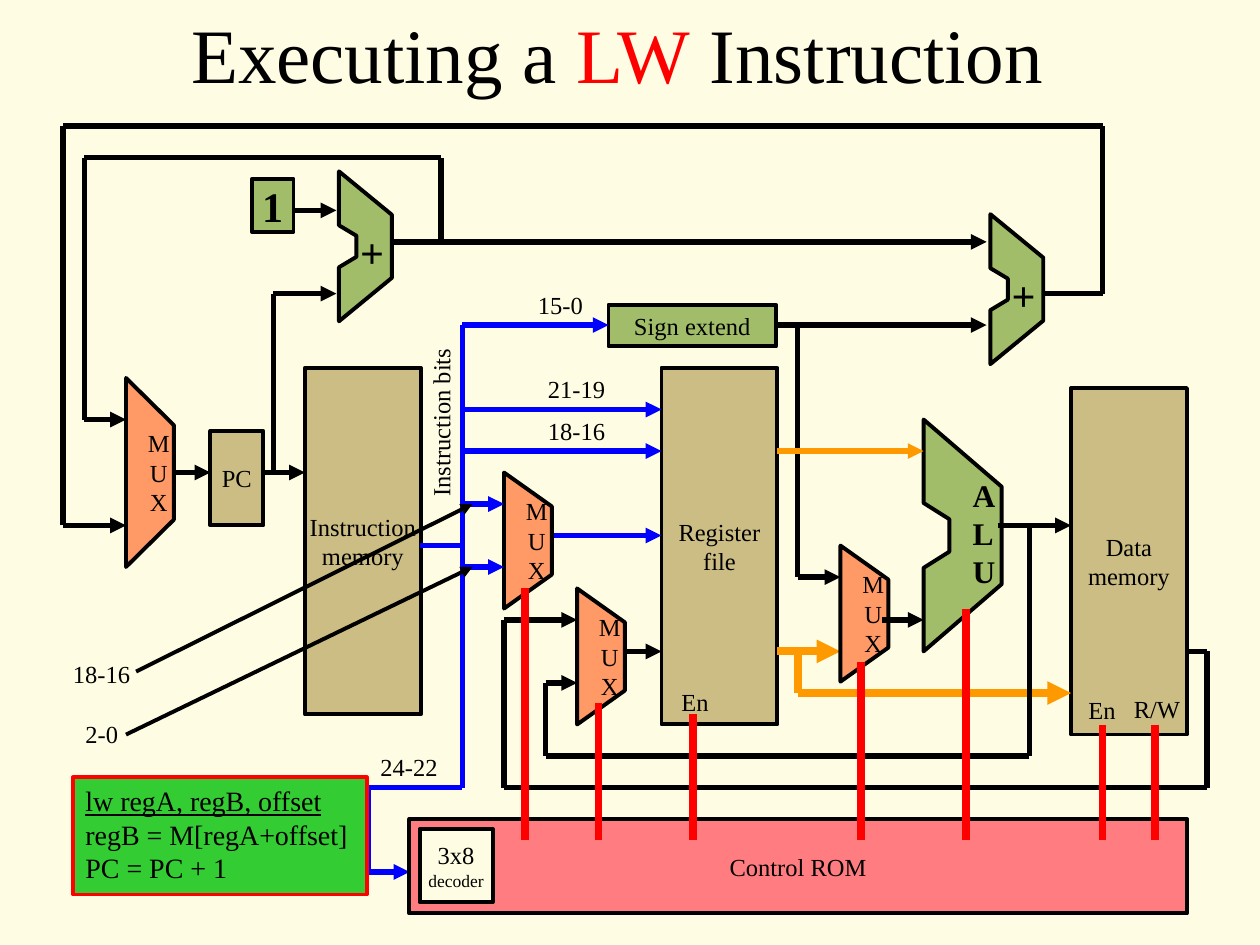
from dataclasses import dataclass
from itertools import pairwise
from typing import Any

from pptx import Presentation
from pptx.dml.color import RGBColor
from pptx.enum.shapes import MSO_CONNECTOR as Connector, MSO_SHAPE as Shape
from pptx.enum.text import MSO_ANCHOR as Anchor, PP_ALIGN as Align
from pptx.oxml.ns import qn
from pptx.util import Inches, Pt
from lxml.etree import SubElement


@dataclass(frozen=True)
class Theme:
    """Colours, type sizes and line widths of the slide."""
    font: str = "Times New Roman"
    paper: str = "FEFDE3"
    ink: str = "000000"
    storage: str = "CBBD83"
    logic: str = "A1BD69"
    mux: str = "FF9966"
    rom: str = "FF7C80"
    card: str = "33CC33"
    signal: str = "FF0000"
    bits: str = "0000FF"
    data: str = "FF9900"
    title_size: float = 44
    symbol_size: float = 24
    alu_size: float = 18
    card_size: float = 16
    body_size: float = 14
    small_size: float = 10
    outline: float = 2.25
    wire: float = 3
    thick: float = 4.5


THEME = Theme()
MUX_PROFILE = [(0, 0), (1, 0.25), (1, 0.75), (0, 1)]
ADDER_PROFILE = [(0, 0), (1, 0.29), (1, 0.71), (0, 1), (0, 0.64),
                 (0.33, 0.57), (0.33, 0.43), (0, 0.36)]


@dataclass
class Box:
    """A region of the slide whose parts are placed from its top left corner."""
    slide: Any
    left: float
    top: float
    width: float
    height: float

    def at(self, x, y):
        """Return slide lengths for a point within the box."""
        return Inches(self.left + x), Inches(self.top + y)

    def block(self, x, y, width, height, fill, lines=(), line=THEME.ink, **style):
        """Draw a filled rectangle with centred lines of text."""
        block = self.slide.shapes.add_shape(
            Shape.RECTANGLE, *self.at(x, y), Inches(width), Inches(height))
        paint(block, fill, line)
        return write(block.text_frame, lines, **style)

    def outline(self, x, y, width, height, profile, fill):
        """Draw a closed outline from a profile of fractions."""
        corners = [self.at(x + width * u, y + height * v) for u, v in profile]
        builder = self.slide.shapes.build_freeform(*corners[0], scale=1.0)
        builder.add_line_segments(corners[1:], close=True)
        unit = builder.convert_to_shape()
        paint(unit, fill, THEME.ink)
        return unit

    def mux(self, x, y, height=1.08):
        """Draw a multiplexer."""
        frame = self.outline(x, y, 0.38, height, MUX_PROFILE, THEME.mux).text_frame
        write(frame, "MUX")
        frame.margin_left, frame.margin_right = Inches(0.14), 0

    def adder(self, x, y):
        """Draw an adder with its plus sign."""
        self.outline(x, y, 0.42, 1.19, ADDER_PROFILE, THEME.logic)
        self.label(x + 0.07, y + 0.39, 0.39, ["+"], 0.5, size=THEME.symbol_size, bold=True)

    def label(self, x, y, width, lines, height=0.33, align=Align.LEFT, **style):
        """Write free text, with a narrow right margin, and return its box."""
        label = self.slide.shapes.add_textbox(
            *self.at(x, y), Inches(width), Inches(height))
        write(label.text_frame, lines, align=align, anchor=Anchor.TOP, **style)
        label.text_frame.margin_right = Inches(0.05)
        return label

    def wire(self, *points, color=THEME.ink, width=THEME.wire, arrow=True):
        """Join points with straight connectors, with an arrowhead at the end."""
        for start, end in pairwise(points):
            segment = self.slide.shapes.add_connector(
                Connector.STRAIGHT, *self.at(*start), *self.at(*end))
            segment.line.color.rgb = RGBColor.from_string(color)
            segment.line.width = Pt(width)
            properties = segment.element.spPr
            SubElement(properties, qn("a:effectLst"))
        if arrow:
            SubElement(properties.find(qn("a:ln")), qn("a:tailEnd"), type="triangle")


def paint(shape, fill, line):
    """Set the fill and outline of a shape and drop its shadow."""
    shape.shadow.inherit = False
    shape.fill.solid()
    shape.fill.fore_color.rgb = RGBColor.from_string(fill)
    shape.line.color.rgb = RGBColor.from_string(line)
    shape.line.width = Pt(THEME.outline)


def write(frame, lines, size=THEME.body_size, bold=False, align=Align.CENTER,
          anchor=Anchor.MIDDLE):
    """Fill a text frame with one paragraph a line and return its paragraphs."""
    frame.word_wrap = False
    frame.vertical_anchor = anchor
    for index, line in enumerate(lines):
        paragraph = frame.add_paragraph() if index else frame.paragraphs[0]
        paragraph.text = line
        paragraph.alignment = align
        paragraph.font.name = THEME.font
        paragraph.font.size = Pt(size)
        paragraph.font.bold = bold
        paragraph.font.color.rgb = RGBColor.from_string(THEME.ink)
    return frame.paragraphs


def draw_title(box):
    """Write the title with the instruction name picked out."""
    title = box.label(0, 0, box.width, ["Executing a "], box.height,
                      align=Align.CENTER, size=THEME.title_size)
    heading = title.text_frame.paragraphs[0]
    name = heading.add_run()
    name.text = "LW"
    name.font.color.rgb = RGBColor.from_string(THEME.signal)
    heading.add_run().text = " Instruction"


def draw_fetch(box):
    """Draw the program counter, instruction memory and next-address loops."""
    box.block(1.17, 2.42, 0.42, 0.75, THEME.storage, ["PC"])
    box.block(1.92, 1.92, 0.92, 2.75, THEME.storage, ["Instruction", "memory"])
    box.wire((7.75, 1.33), (8.25, 1.33), (8.25, 0), (0, 0), (0, 3.17), (0.5, 3.17))
    box.wire((3, 0.92), (3, 0.25), (0.17, 0.25), (0.17, 2.33), (0.5, 2.33))
    box.wire((1.67, 2.75), (1.67, 1.33), (2.17, 1.33))
    box.wire((0.83, 2.75), (1.17, 2.75))
    box.wire((1.58, 2.75), (1.92, 2.75))
    box.wire((1.83, 0.67), (2.17, 0.67))
    box.wire((2.58, 0.92), (7.33, 0.92))
    box.mux(0.5, 2, 1.5)
    box.adder(2.19, 0.36)
    box.block(1.5, 0.42, 0.33, 0.42, THEME.logic, ["1"], size=THEME.symbol_size, bold=True)


def draw_branch(box):
    """Draw the sign extender and the branch adder."""
    box.wire((1.34, 0.88), (3, 0.88))
    box.wire((1.5, 0.88), (1.5, 2.88), (1.84, 2.88))
    box.block(0, 0.72, 1.33, 0.33, THEME.logic, ["Sign extend"])
    box.adder(3.03, 0)


def draw_registers(box):
    """Draw the register file and its two multiplexers."""
    box.block(1.25, 0, 0.92, box.height, THEME.storage, ["Register", "file"])
    box.wire((0.33, 1.33), (1.25, 1.33), color=THEME.bits)
    box.wire((0.92, 2.25), (1.25, 2.25))
    box.mux(0, 0.83)
    box.mux(0.58, 1.75)
    box.label(1.31, 2.48, 0.42, ["En"])


def draw_memory(box):
    """Draw the data memory with its control inputs."""
    box.block(0, 0, box.width, box.height, THEME.storage, ["Data", "memory"])
    box.label(0.04, 2.39, 0.42, ["En"])
    box.label(0.4, 2.38, 0.57, ["R/W"])


def draw_execute(box):
    """Draw the ALU, its operand multiplexer and the register outputs."""
    box.wire((0, 1.84), (0.5, 1.84), color=THEME.data, width=THEME.thick)
    box.wire((0.16, 1.84), (0.16, 2.17), (2.33, 2.17), color=THEME.data, width=THEME.thick)
    box.mux(0.5, 1)
    box.outline(1.16, 0, 0.62, 1.84, ADDER_PROFILE, THEME.logic)
    box.label(1.45, 0.4, 0.38, "ALU", 1, size=THEME.alu_size, bold=True)
    box.wire((0, 0.25), (1.16, 0.25), color=THEME.data)
    box.wire((0.83, 1.59), (1.16, 1.59))
    box.wire((1.75, 0.84), (2.33, 0.84))


def draw_writeback(box):
    """Draw the ALU and memory results returning to the registers."""
    box.wire((4.17, 0), (4.17, 1.83), (0.33, 1.83), (0.33, 1.25), (0.58, 1.25))
    box.wire((5.42, 1), (5.58, 1), (5.58, 2.08), (0, 2.08), (0, 0.75), (0.58, 0.75))


def draw_instruction_bits(box):
    """Draw the instruction bus with its taps and bit ranges."""
    bus = 0.87
    box.wire((bus, 0.33), (bus, 4), (0.12, 4), (0.12, 4.67), (0.45, 4.67), color=THEME.bits)
    box.wire((0.53, 2.08), (bus, 2.08), color=THEME.bits, arrow=False)
    for y, end in [(0.33, 2.03), (1, 2.45), (1.33, 2.45), (1.75, 1.2), (2.25, 1.2)]:
        box.wire((bus, y), (end, y), color=THEME.bits)
    for x, y, bits in [(1.37, 0, "15-0"), (1.45, 0.67, "21-19"),
                       (1.45, 1, "18-16"), (0.12, 3.67, "24-22")]:
        box.label(x, y, 0.68, [bits])
    box.label(-0.01, 0.92, 1.41, ["Instruction bits"]).rotation = 270


def draw_field_pointers(box):
    """Point the two destination fields at their taps."""
    box.label(0, 1.18, 0.68, ["18-16"])
    box.label(0.1, 1.66, 0.5, ["2-0"])
    for start, end in [((0.6, 1.33), (3.27, 0)), ((0.52, 1.83), (3.27, 0.5))]:
        box.wire(start, end, width=THEME.outline)


def draw_control(box):
    """Draw the control ROM, its decoder and its control signals."""
    box.block(0, 0, box.width, box.height, THEME.rom, ["Control ROM"])
    decoder = box.block(0.08, 0.08, 0.58, 0.58, THEME.paper, ["3x8", "decoder"])
    decoder[1].font.size = Pt(THEME.small_size)
    for x, y in [(0.92, -1.83), (1.5, -0.92), (2.25, -0.83), (3.58, -1.25),
                 (4.42, -1.67), (5.5, -0.75), (5.92, -0.75)]:
        box.wire((x, y), (x, 0.17), color=THEME.signal, width=THEME.thick, arrow=False)


def draw_instruction_card(box):
    """Write the instruction and its meaning."""
    meaning = box.block(
        0, 0, box.width, box.height, THEME.card,
        ["lw regA, regB, offset", "regB = M[regA+offset]", "PC = PC + 1"],
        line=THEME.signal, size=THEME.card_size, align=Align.LEFT, anchor=Anchor.TOP)
    meaning[0].font.underline = True


def main():
    """Build the slide and save it."""
    deck = Presentation()
    deck.slide_width, deck.slide_height = Inches(10), Inches(7.5)
    slide = deck.slides.add_slide(deck.slide_layouts[6])
    slide.background.fill.solid()
    slide.background.fill.fore_color.rgb = RGBColor.from_string(THEME.paper)
    for draw, area in [
        (draw_fetch, (0.5, 1, 8.25, 4.67)),
        (draw_branch, (4.83, 1.7, 3.46, 2.88)),
        (draw_registers, (4, 2.92, 2.17, 2.83)),
        (draw_memory, (8.5, 3.08, 0.92, 2.75)),
        (draw_execute, (6.17, 3.33, 2.33, 2.17)),
        (draw_writeback, (4, 4.17, 5.58, 2.08)),
        (draw_instruction_bits, (2.8, 2.25, 2.45, 4.67)),
        (draw_field_pointers, (0.48, 4, 3.27, 2)),
        (draw_control, (3.25, 6.5, 6.17, 0.75)),
        (draw_title, (1.37, 0, 7.01, 0.83)),
        (draw_instruction_card, (0.58, 6.17, 2.33, 0.93)),
    ]:
        draw(Box(slide, *area))
    deck.save("out.pptx")


if __name__ == "__main__":
    main()
